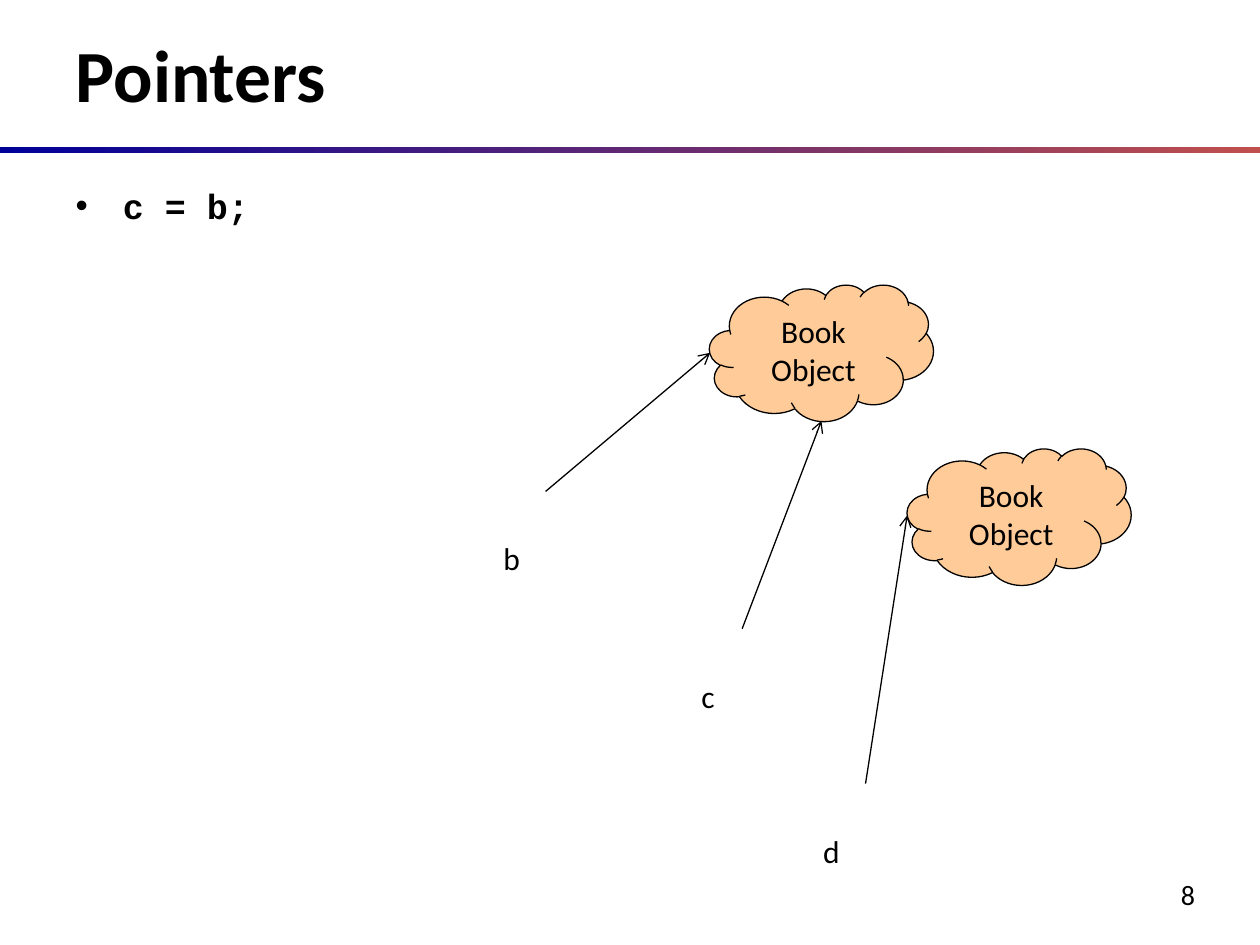
import pptx
import pptx.dml.color
import pptx.enum.shapes
import pptx.enum.text
import pptx.oxml
import pptx.oxml.ns
import pptx.util
from dataclasses import dataclass

Pt = pptx.util.Pt
RGB = pptx.dml.color.RGBColor.from_string
SHAPE = pptx.enum.shapes.MSO_SHAPE
ALIGN = pptx.enum.text.PP_ALIGN
ANCHOR = pptx.enum.text.MSO_ANCHOR
NS = pptx.oxml.ns.nsdecls("a")


@dataclass(frozen=True)
class Theme:
    ink: str = "000000"
    cloud: str = "FFCC99"
    bar_start: str = "000099"
    bar_end: str = "C0504D"
    font: str = "Calibri"
    code_font: str = "Courier New"
    title_size: int = 42
    code_size: int = 20
    label_size: int = 18
    number_size: int = 16
    line_width: float = 0.75


theme = Theme()


def write(sp, text, size=theme.label_size, font=theme.font, bold=False,
          align=ALIGN.CENTER, anchor=ANCHOR.TOP, wrap=True):
    tf = sp.text_frame
    tf.word_wrap = wrap
    tf.auto_size = pptx.enum.text.MSO_AUTO_SIZE.NONE
    tf.vertical_anchor = anchor
    p = tf.paragraphs[0]
    p.alignment = align
    p.space_before = Pt(0)
    r = p.add_run()
    r.text = text
    r.font.name = font
    r.font.size = Pt(size)
    r.font.bold = bold
    r.font.color.rgb = RGB(theme.ink)
    return p


prs = pptx.Presentation()
prs.slide_width, prs.slide_height = Pt(720), Pt(540)
s = prs.slides.add_slide(prs.slide_layouts[1])

# Gradient bar under the title
bar = s.shapes.add_shape(SHAPE.RECTANGLE, Pt(0), Pt(84), Pt(720), Pt(3.6))
bar.shadow.inherit = False
bar.line.fill.background()
bar.fill.gradient()
bar.fill.gradient_angle = 0
for stop, color in zip(bar.fill.gradient_stops, (theme.bar_start, theme.bar_end)):
    stop.color.rgb = RGB(color)

# Slide number
number = s.shapes.add_textbox(Pt(618), Pt(498), Pt(72), Pt(27))
write(number, "8", size=theme.number_size, align=ALIGN.RIGHT)

# Title
title = s.shapes.title
title.left, title.top, title.width, title.height = Pt(36), Pt(12), Pt(654), Pt(60)
write(title, "Pointers", size=theme.title_size, bold=True,
      align=ALIGN.LEFT, anchor=ANCHOR.MIDDLE)

# Code bullet
body = s.placeholders[1]
body.left, body.top, body.width, body.height = Pt(36), Pt(102), Pt(648), Pt(48)
p = write(body, "c = b;", size=theme.code_size, font=theme.code_font,
          bold=True, align=ALIGN.LEFT)
pPr = p._p.get_or_add_pPr()
pPr.set("marL", str(Pt(27)))
pPr.set("indent", str(-Pt(27)))
pPr.append(pptx.oxml.parse_xml(f'<a:buChar {NS} char="•"/>'))

# Book objects
for left, top in ((405.4, 162.7), (518.4, 256.3)):
    cloud = s.shapes.add_shape(SHAPE.CLOUD, Pt(left), Pt(top), Pt(128), Pt(78))
    cloud.shadow.inherit = False
    cloud.fill.solid()
    cloud.fill.fore_color.rgb = RGB(theme.cloud)
    cloud.line.color.rgb = RGB(theme.ink)
    cloud.line.width = Pt(theme.line_width)
    write(cloud, "Book Object", anchor=ANCHOR.MIDDLE)

# Pointers: each name sits below and left of its arrow's start
for name, x1, y1, x2, y2 in (
    ("b", 311.8, 280.8, 405.8, 201.6),
    ("c", 424.1, 359.3, 469.4, 240.5),
    ("d", 494.6, 447.8, 518.4, 294.5),
):
    arrow = s.shapes.add_connector(pptx.enum.shapes.MSO_CONNECTOR.STRAIGHT,
                                   Pt(x1), Pt(y1), Pt(x2), Pt(y2))
    arrow.line.color.rgb = RGB(theme.ink)
    arrow.line.width = Pt(theme.line_width)
    arrow.line._get_or_add_ln().append(
        pptx.oxml.parse_xml(f'<a:tailEnd {NS} type="arrow"/>'))
    arrow._element.spPr.append(pptx.oxml.parse_xml(f"<a:effectLst {NS}/>"))

    label = s.shapes.add_textbox(Pt(x1 - 31.7), Pt(y1 + 23.8), Pt(24.5), Pt(29))
    write(label, name, wrap=False)

prs.save("out.pptx")
